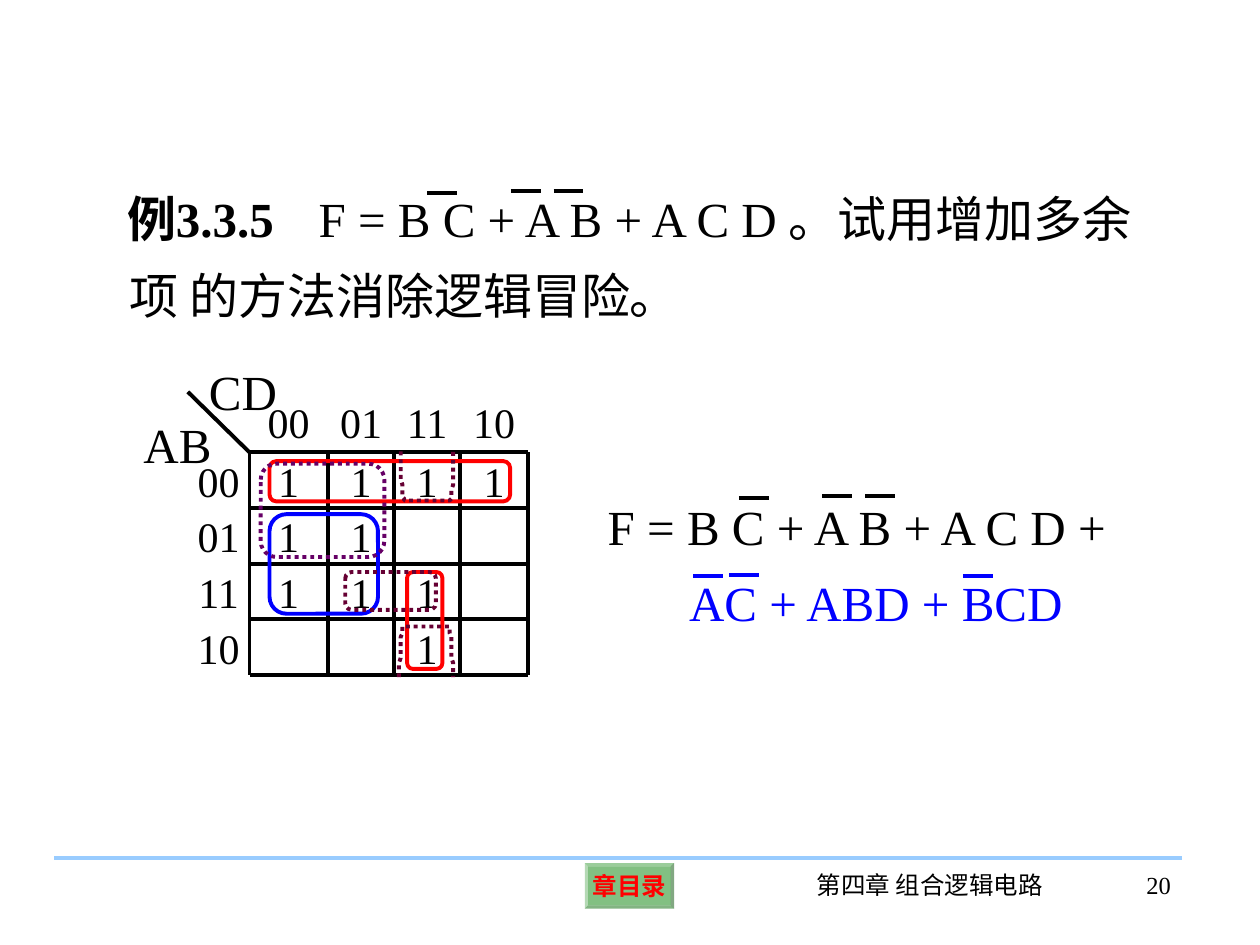
from lxml import etree
from pptx import Presentation
from pptx.dml.color import RGBColor
from pptx.enum.dml import MSO_LINE
from pptx.enum.shapes import MSO_CONNECTOR, MSO_SHAPE
from pptx.enum.text import MSO_ANCHOR, PP_ALIGN
from pptx.oxml.ns import qn
from pptx.util import Pt

LEFT, CENTER, RIGHT = PP_ALIGN.LEFT, PP_ALIGN.CENTER, PP_ALIGN.RIGHT
TOP, MIDDLE = MSO_ANCHOR.TOP, MSO_ANCHOR.MIDDLE
DOTTED = MSO_LINE.ROUND_DOT
BLACK, BLUE, RED = "000000", "0000FF", "FF0000"
PURPLE, PLUM, SKY, GREEN = "660066", "660033", "99CCFF", "008000"
LINE_WIDTH = 2.25


def color(value):
    return RGBColor.from_string(value)


def write(shape, runs, size, align=LEFT, anchor=TOP, margins=(7.2, 3.6), wrap=True):
    """Fill a shape with one paragraph; runs are (text, colour, bold)."""
    frame = shape.text_frame
    horizontal, vertical = map(Pt, margins)
    frame_format = {
        "word_wrap": wrap, "vertical_anchor": anchor,
        "margin_left": horizontal, "margin_right": horizontal,
        "margin_top": vertical, "margin_bottom": vertical,
    }
    for name, value in frame_format.items():
        setattr(frame, name, value)
    paragraph = frame.paragraphs[0]
    paragraph.alignment = align
    for text, run_color, bold in runs:
        run = paragraph.add_run()
        run.text = text
        run_format = {"name": "Times New Roman", "size": Pt(size), "bold": bold}
        for name, value in run_format.items():
            setattr(run.font, name, value)
        run.font.color.rgb = color(run_color)
    return paragraph


presentation = Presentation()
presentation.slide_width, presentation.slide_height = Pt(720), Pt(540)
slide = presentation.slides.add_slide(presentation.slide_layouts[6])
shapes = slide.shapes

# Footer: contents button, chapter name, page number
button = shapes.add_shape(MSO_SHAPE.BEVEL, Pt(334.2), Pt(493.2), Pt(51), Pt(26))
button.adjustments[0] = 0.07
button.shadow.inherit = False
button.fill.solid()
button.fill.fore_color.rgb = color(GREEN)
fill_color = button.fill._xPr.find(qn("a:solidFill"))[0]
etree.SubElement(fill_color, qn("a:alpha")).set("val", "49000")
button.line.fill.background()
write(button, [("章目录", RED, True)], 14, CENTER, MIDDLE, (0, 0), False)

footers = [
    ("第四章 组合逻辑电路", 449.3, 164.2, CENTER),
    ("20", 614.2, 61.9, RIGHT),
]
for text, left, width, align in footers:
    box = shapes.add_textbox(Pt(left), Pt(493.5), Pt(width), Pt(36))
    write(box, [(text, BLACK, False)], 14, align)

# Problem statement and answer: runs, left, top, width, indent, first line, tab
formulas = [
    ([("例3.3.5", BLACK, True),
      ("\tF = B C + A B + A C D 。试用增加多余项 的方法消除逻辑冒险。", BLACK, False)],
     65.5, 94.3, 596.2, 1.5, -1.5, 105),
    ([("F = B C + A B + A C D + ", BLACK, False),
      ("AC + ABD + BCD", BLUE, False)],
     326.2, 270, 335.5, 60.5, -46.5, None),
]
for runs, left, top, width, indent, first_line, tab in formulas:
    box = shapes.add_textbox(Pt(left), Pt(top), Pt(width), Pt(95))
    paragraph = write(box, runs, 28)
    paragraph.line_spacing = 1.3
    properties = paragraph._p.get_or_add_pPr()
    properties.set("marL", str(Pt(indent)))
    properties.set("indent", str(Pt(first_line)))
    if tab:
        tab_list = etree.SubElement(properties, qn("a:tabLst"))
        etree.SubElement(tab_list, qn("a:tab"), pos=str(Pt(tab)), algn="l")

# Karnaugh map: axis names, labels and ones
for text, left, top in [("AB", 74.9, 233.3), ("CD", 112.3, 203)]:
    box = shapes.add_textbox(Pt(left), Pt(top), Pt(65.5), Pt(41))
    write(box, [(text, BLACK, False)], 28)

columns = [107.3, 142.6, 187.4, 225.2, 263, 301.7]
rows = [223.9] + [258.5 + 31.8 * row for row in range(5)]
cells = [
    ["", "00", "01", "11", "10"],
    ["00", "1", "1", "1", "1"],
    ["01", "1", "1", "", ""],
    ["11", "1", "1", "1", ""],
    ["10", "", "", "1", ""],
]
for row, texts in enumerate(cells):
    for column, text in enumerate(texts):
        if text:
            left, top = columns[column], rows[row]
            box = shapes.add_textbox(Pt(left), Pt(top), Pt(columns[column + 1] - left),
                                     Pt(rows[row + 1] - top))
            write(box, [(text, BLACK, False)], 24, CENTER, MIDDLE, (1.5, 1.5))

# Lines: footer rule, map corner and grid, negation bars
lines = [(30.9, 490.3, 675.4, 490.3, SKY),
         (columns[0], rows[0], columns[1], rows[1], BLACK)]
lines += [(x, rows[1], x, rows[-1], BLACK) for x in columns[1:]]
lines += [(columns[1], y, columns[-1], y, BLACK) for y in rows[1:]]
bars = [
    (244.1, 110.2, BLACK), (292, 109.3, BLACK), (316.4, 109.3, BLACK),
    (422.2, 284.6, BLACK), (470, 283.4, BLACK), (494.4, 283.4, BLACK),
    (396, 329.2, BLUE), (416.8, 328.4, BLUE), (550.2, 329.2, BLUE),
]
lines += [(left, y, left + 17, y, bar_color) for left, y, bar_color in bars]
for x1, y1, x2, y2, line_color in lines:
    line = shapes.add_connector(MSO_CONNECTOR.STRAIGHT, Pt(x1), Pt(y1), Pt(x2), Pt(y2))
    line.line.color.rgb = color(line_color)
    line.line.width = Pt(LINE_WIDTH)
    etree.SubElement(line._element.spPr, qn("a:effectLst"))

# Loops around groups of ones
loops = []
closed_loops = [
    (154, 263.5, 137.5, 23, RED, None),
    (154, 293.8, 62, 56.9, BLUE, None),
    (232.6, 326.9, 20.2, 55.4, RED, None),
    (149, 265, 70.6, 53.3, PURPLE, DOTTED),
    (197.3, 326.9, 51.8, 21.6, PLUM, DOTTED),
]
for left, top, width, height, loop_color, dash in closed_loops:
    loop = shapes.add_shape(MSO_SHAPE.ROUNDED_RECTANGLE,
                            Pt(left), Pt(top), Pt(width), Pt(height))
    loop.adjustments[0] = 0.17
    loops.append((loop, loop_color, dash))

# Open halves of the loop that wraps from the bottom row to the top row
steps = [step / 12 for step in range(13)]
for left, open_y, closed_y in [(228.4, 386.6, 357.6), (229, 257.8, 286)]:
    inset = [2.2 * t * t * (1.5 - 0.5 * t) for t in steps]
    height = [open_y + (closed_y - open_y) * (1.5 * t - 0.5 * t ** 3) for t in steps]
    side = list(zip(inset, height))
    points = [(left + x, y) for x, y in side]
    points += [(left + 30.2 - x, y) for x, y in reversed(side)]
    builder = shapes.build_freeform(*points[0], scale=Pt(1))
    builder.add_line_segments(points[1:], close=False)
    loops.append((builder.convert_to_shape(), PLUM, DOTTED))

for loop, loop_color, dash in loops:
    loop.shadow.inherit = False
    loop.fill.background()
    loop.line.color.rgb = color(loop_color)
    loop.line.width = Pt(LINE_WIDTH)
    if dash:
        loop.line.dash_style = dash

presentation.save("out.pptx")
